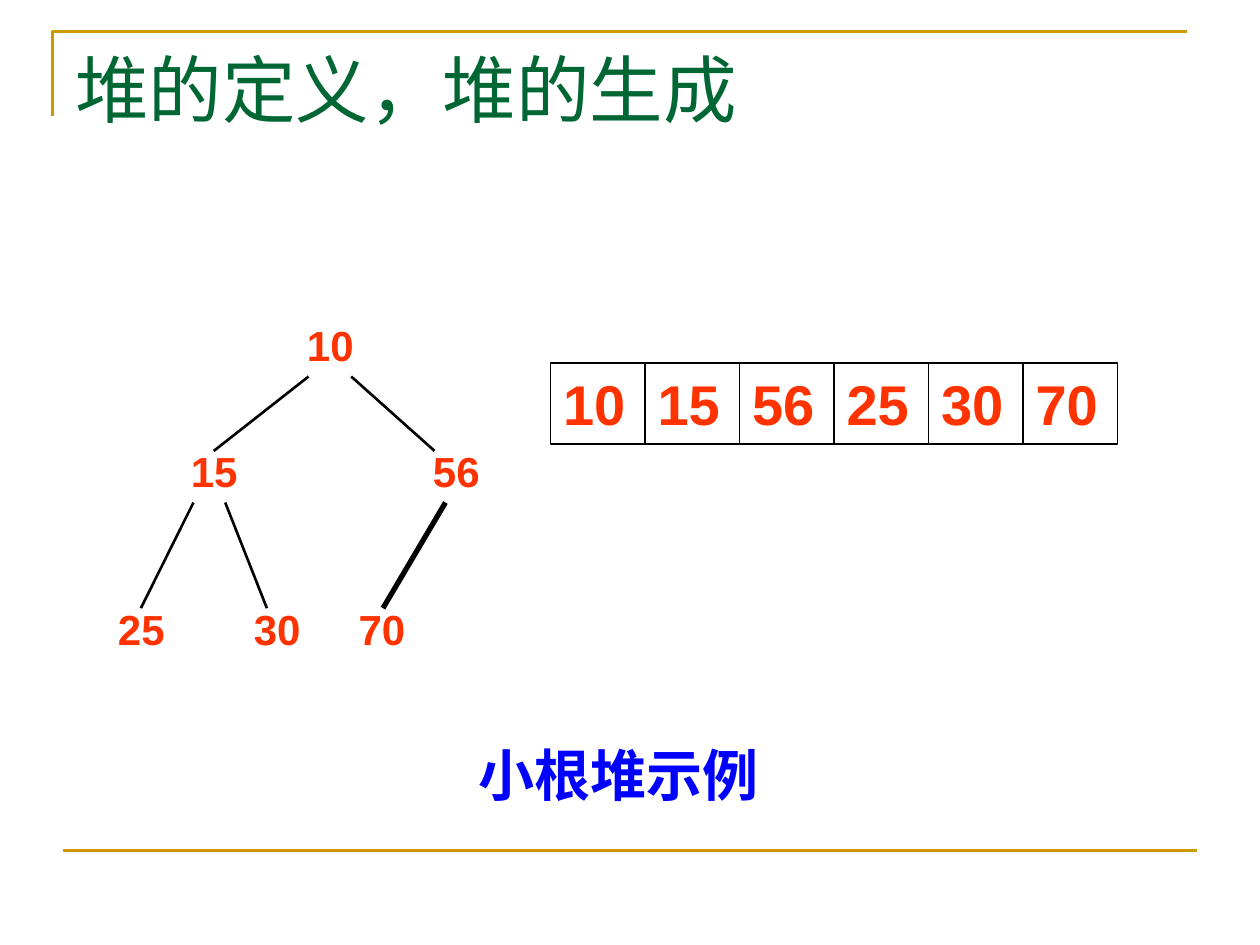
from pptx import Presentation
from pptx.dml.color import RGBColor
from pptx.enum import shapes, text
from pptx.oxml import ns
from pptx.util import Cm, Pt
from lxml import etree

GOLD, GREEN, RED, BLUE, BLACK = "CC9900", "006633", "FF3300", "0000FF", "000000"


def color(value):
    return RGBColor.from_string(value)


def write(shape, content, size, fill, font="Arial", bold=True, align=text.PP_ALIGN.LEFT):
    frame = shape.text_frame
    frame.word_wrap = True
    frame.vertical_anchor = text.MSO_ANCHOR.TOP
    paragraph = frame.paragraphs[0]
    paragraph.text = content
    paragraph.alignment = align
    paragraph.font.name = font
    paragraph.font.size = Pt(size)
    paragraph.font.bold = bold
    paragraph.font.color.rgb = color(fill)


def add_text(slide, box, content, **style):
    shape = slide.shapes.add_textbox(*map(Cm, box))
    write(shape, content, **style)


def add_line(slide, start, end, stroke=BLACK, width=1.5):
    line = slide.shapes.add_connector(
        shapes.MSO_CONNECTOR.STRAIGHT, *map(Cm, (*start, *end)))
    line.line.color.rgb = color(stroke)
    line.line.width = Pt(width)
    etree.SubElement(line.element.spPr, ns.qn("a:effectLst"))


def add_frame(slide, left, top, width, height):
    builder = slide.shapes.build_freeform(Cm(left), Cm(top + height))
    corners = [(Cm(left), Cm(top)), (Cm(left + width), Cm(top))]
    builder.add_line_segments(corners, close=False)
    bracket = builder.convert_to_shape()
    bracket.shadow.inherit = False
    bracket.fill.background()
    bracket.line.color.rgb = color(GOLD)
    bracket.line.width = Pt(1.5)
    bottom = top + 16.51
    add_line(slide, (left + 0.21, bottom), (left + 0.21 + width, bottom), GOLD)


def add_tree(slide, left, top):
    nodes = {"10": (3.81, 0), "15": (1.47, 2.54), "56": (6.35, 2.54),
             "25": (0, 5.72), "30": (2.74, 5.72), "70": (4.85, 5.72)}
    edges = [((4.22, 1.27), (2.31, 2.77), 1.5),
             ((5.08, 1.27), (6.76, 2.77), 1.5),
             ((1.9, 3.81), (0.84, 5.94), 1.5),
             ((2.54, 3.81), (3.38, 5.94), 1.5),
             ((6.98, 3.81), (5.72, 5.94), 3)]
    for key, (x, y) in nodes.items():
        add_text(slide, (left + x, top + y, 1.7, 1.27), key,
                 size=24, fill=RED, align=text.PP_ALIGN.CENTER)
    for (x1, y1), (x2, y2), width in edges:
        add_line(slide, (left + x1, top + y1), (left + x2, top + y2), width=width)


def add_array(slide, left, top, width, height, keys):
    cell_width = width / len(keys)
    for index, key in enumerate(keys):
        box = (left + index * cell_width, top, cell_width, height)
        cell = slide.shapes.add_shape(shapes.MSO_SHAPE.RECTANGLE, *map(Cm, box))
        cell.shadow.inherit = False
        cell.fill.background()
        cell.line.color.rgb = color(BLACK)
        cell.line.width = Pt(0.75)
        write(cell, key, size=32, fill=RED)


def main():
    presentation = Presentation()
    presentation.slide_width, presentation.slide_height = Cm(25.4), Cm(19.05)
    slide = presentation.slides.add_slide(presentation.slide_layouts[6])
    add_frame(slide, 1.06, 0.64, 22.86, 1.7)
    add_text(slide, (1.27, 0.76, 22.86, 3.18), "堆的定义，堆的生成",
             size=42, fill=GREEN, font="Times New Roman", bold=False)
    add_tree(slide, 2, 6.32)
    add_array(slide, 11.1, 7.32, 11.43, 1.63, ["10", "15", "56", "25", "30", "70"])
    add_text(slide, (9.4, 14.81, 6.55, 1.6), "小根堆示例", size=32, fill=BLUE)
    presentation.save("out.pptx")


if __name__ == "__main__":
    main()
